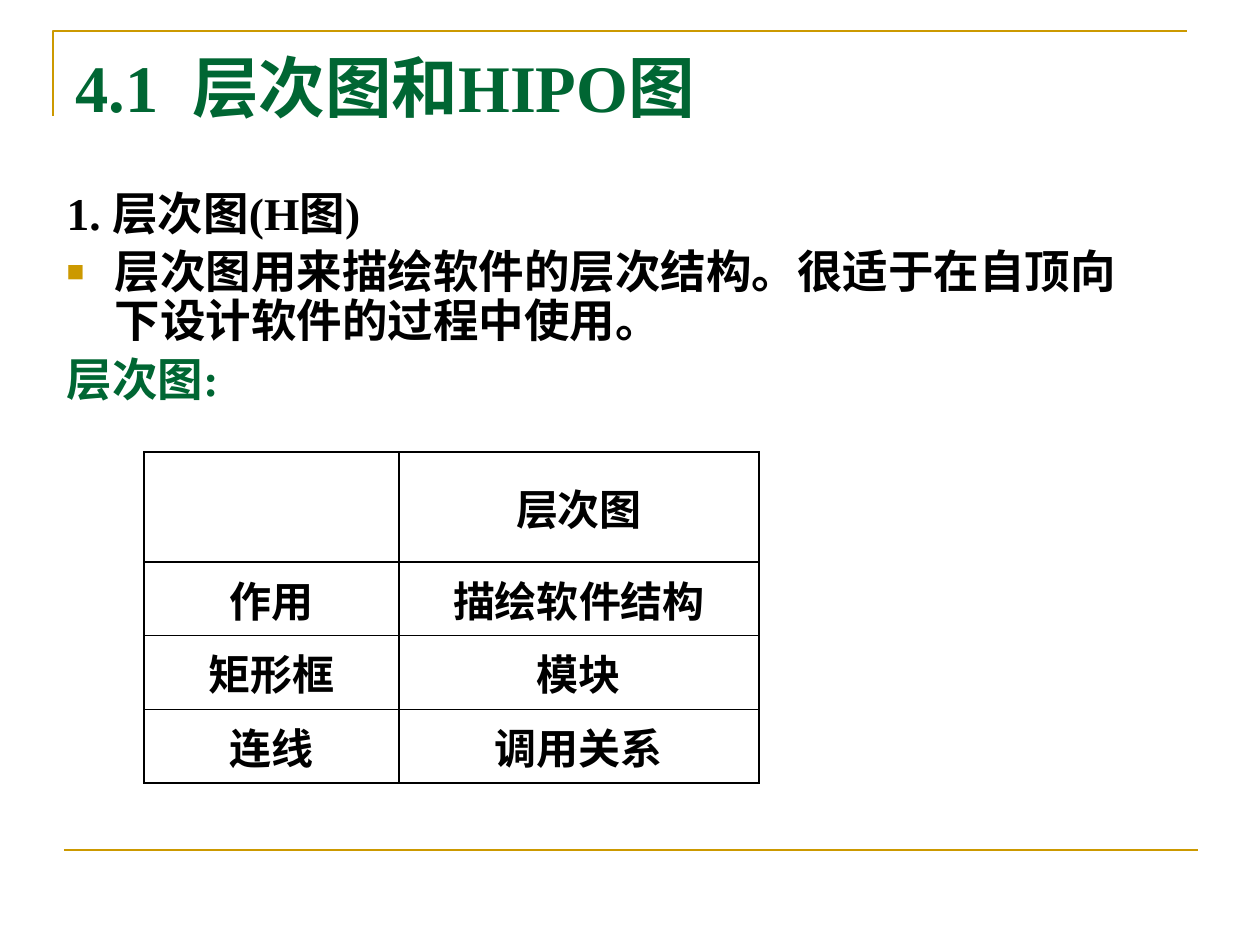
import pptx
import pptx.dml.color
import pptx.enum.dml
import pptx.enum.shapes
import pptx.enum.text
import pptx.oxml
import pptx.oxml.ns
import pptx.util
import lxml.etree

SCALE = 914400 // 126
GOLD = pptx.dml.color.RGBColor(0xCC, 0x99, 0x00)
GREEN = pptx.dml.color.RGBColor(0x00, 0x66, 0x33)
BLACK = pptx.dml.color.RGBColor(0x00, 0x00, 0x00)
FONT = "Times New Roman"
MIDDLE = pptx.enum.text.MSO_ANCHOR.MIDDLE
TOP = pptx.enum.text.MSO_ANCHOR.TOP
LEFT = pptx.enum.text.PP_ALIGN.LEFT
CENTER = pptx.enum.text.PP_ALIGN.CENTER

BODY = [
    ("1. 层次图(H图)", BLACK, False),
    ("层次图用来描绘软件的层次结构。很适于在自顶向下设计软件的过程中使用。", BLACK, True),
    ("层次图:", GREEN, False),
]
TABLE = [("", "层次图"), ("作用", "描绘软件结构"), ("矩形框", "模块"), ("连线", "调用关系")]
COLUMN_WIDTHS = (255, 360)
ROW_HEIGHTS = (110, 73, 74, 73)


def pixels(value):
    """Turn pixels into EMU."""
    return pptx.util.Emu(value * SCALE)


def apply_format(target, values):
    """Set every attribute named in a dict of format values."""
    for name, value in values.items():
        setattr(target, name, value)


def write_text(paragraph, text, size, color, alignment):
    """Write one bold run into a paragraph."""
    run = paragraph.add_run()
    run.text = text
    apply_format(run.font, {"name": FONT, "size": pptx.util.Pt(size), "bold": True})
    run.font.color.rgb = color
    paragraph.alignment = alignment


def add_element(parent, tag, **attributes):
    """Append a drawing element to a parent."""
    element = lxml.etree.SubElement(parent, pptx.oxml.ns.qn(tag))
    for name, value in attributes.items():
        element.set(name, value)
    return element


def place(shape, box, anchor):
    """Move a placeholder to its box and set its text frame."""
    apply_format(shape, dict(zip(("left", "top", "width", "height"), map(pixels, box))))
    apply_format(shape.text_frame, {
        "word_wrap": True,
        "auto_size": pptx.enum.text.MSO_AUTO_SIZE.NONE,
        "vertical_anchor": anchor,
    })


def draw_frame(slide, box):
    """Draw the gold corner at the top and the rule at the bottom."""
    left, top, width, height = box
    builder = slide.shapes.build_freeform(left, top + 85, scale=SCALE)
    builder.add_line_segments([(left, top), (left + width, top)], close=False)
    corner = builder.convert_to_shape()
    corner.fill.background()
    corner.shadow.inherit = False
    rule = slide.shapes.add_connector(
        pptx.enum.shapes.MSO_CONNECTOR.STRAIGHT,
        pixels(left + 11), pixels(top + height),
        pixels(left + 11 + width), pixels(top + height))
    add_element(rule._element.spPr, "a:effectLst")
    for shape in (corner, rule):
        shape.line.color.rgb = GOLD
        shape.line.width = pptx.util.Pt(1.5)


def fill_title(slide, box):
    """Fill the title placeholder."""
    title = slide.shapes.title
    place(title, box, MIDDLE)
    write_text(title.text_frame.paragraphs[0], "4.1  层次图和HIPO图", 38, GREEN, LEFT)


def fill_body(slide, box):
    """Fill the body placeholder with hanging paragraphs."""
    body = slide.placeholders[1]
    place(body, box, TOP)
    frame = body.text_frame
    for index, (text, color, bulleted) in enumerate(BODY):
        paragraph = frame.add_paragraph() if index else frame.paragraphs[0]
        write_text(paragraph, text, 26, color, LEFT)
        apply_format(paragraph, {"line_spacing": 0.9, "space_before": pptx.util.Pt(5.2)})
        properties = paragraph._p.get_or_add_pPr()
        properties.set("marL", str(pixels(48)))
        properties.set("indent", str(-pixels(48)))
        if bulleted:
            bullet_color = add_element(properties, "a:buClr")
            add_element(bullet_color, "a:srgbClr", val=str(GOLD))
            add_element(properties, "a:buSzPct", val="65000")
            add_element(properties, "a:buFont", typeface=FONT)
            add_element(properties, "a:buChar", char="■")
        else:
            add_element(properties, "a:buNone")


def border_cell(cell):
    """Give a cell black borders and no fill."""
    properties = cell._tc.get_or_add_tcPr()
    for side in ("a:lnL", "a:lnR", "a:lnT", "a:lnB"):
        line = add_element(properties, side, w=str(pptx.util.Pt(1)))
        add_element(add_element(line, "a:solidFill"), "a:srgbClr", val=str(BLACK))
    add_element(properties, "a:noFill")


def draw_table(slide, left, top):
    """Draw the table that explains the chart's parts."""
    table = slide.shapes.add_table(
        len(TABLE), len(COLUMN_WIDTHS), pixels(left), pixels(top),
        pixels(sum(COLUMN_WIDTHS)), pixels(sum(ROW_HEIGHTS))).table
    apply_format(table, {"first_row": False, "horz_banding": False})
    for column, width in zip(table.columns, COLUMN_WIDTHS):
        column.width = pixels(width)
    for row, height, texts in zip(table.rows, ROW_HEIGHTS, TABLE):
        row.height = pixels(height)
        for cell, text in zip(row.cells, texts):
            cell.vertical_anchor = MIDDLE
            border_cell(cell)
            if text:
                write_text(cell.text_frame.paragraphs[0], text, 24, BLACK, CENTER)


def build():
    """Build the slide and save it."""
    presentation = pptx.Presentation()
    presentation.slide_width = pixels(1260)
    presentation.slide_height = pixels(945)
    slide = presentation.slides.add_slide(presentation.slide_layouts[1])
    draw_frame(slide, (53, 31, 1134, 819))
    fill_title(slide, (63, 38, 1134, 96))
    fill_body(slide, (54, 185, 1103, 248))
    draw_table(slide, 144, 452)
    presentation.save("out.pptx")


build()
